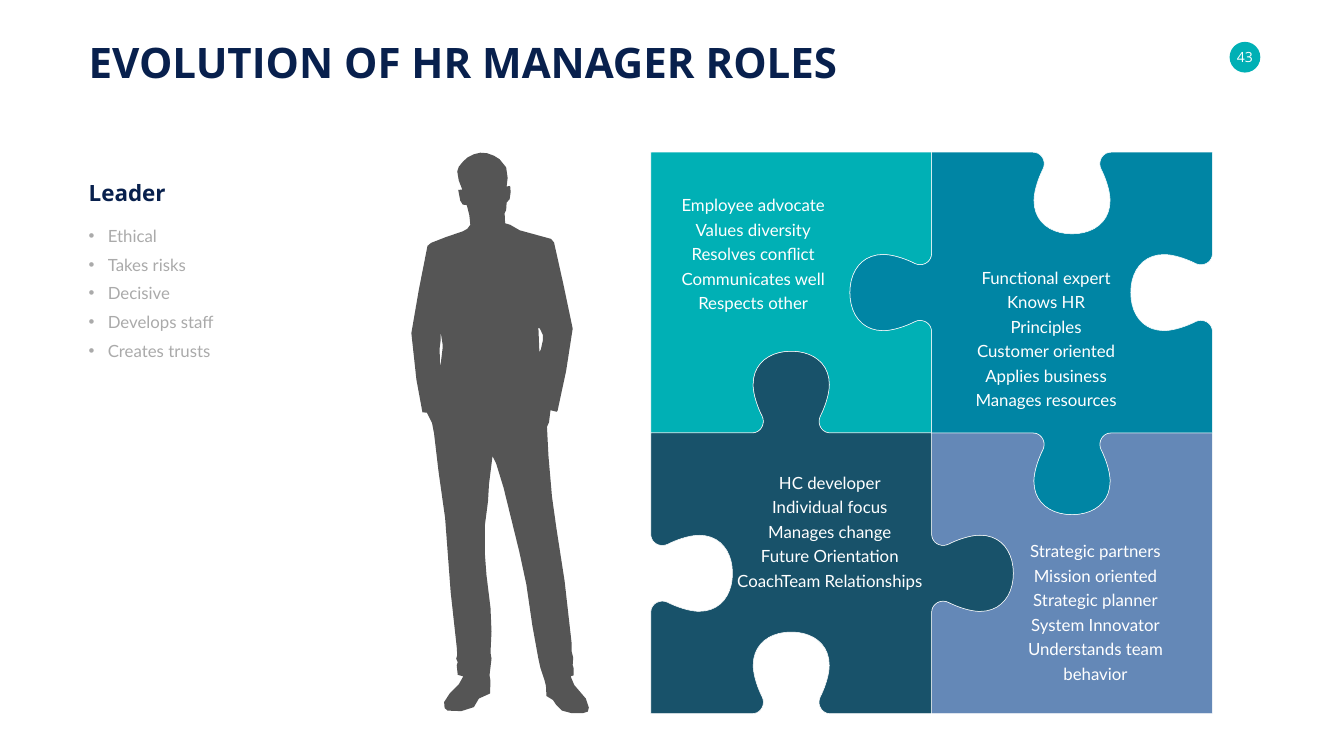
from lxml.etree import SubElement
from pptx import Presentation
from pptx.dml.color import RGBColor
from pptx.enum.shapes import MSO_SHAPE
from pptx.enum.text import MSO_ANCHOR, PP_ALIGN
from pptx.oxml.ns import qn
from pptx.util import Inches, Pt

COLORS = {
    "navy": "08204D", "teal": "00B0B5", "blue": "0085A4", "dark": "18526A",
    "violet": "6488B7", "gray": "AAAAAA", "figure": "555555", "white": "FFFFFF",
}

TITLE = "EVOLUTION OF HR MANAGER ROLES"
PAGE = "43"
HEADING = "Leader"
TRAITS = ["Ethical", "Takes risks", "Decisive", "Develops staff", "Creates trusts"]

# Column and row in the puzzle; knobs on top, right, bottom, left: 1 out, -1 in, 0 flat;
# then the centre and width of the text, and its lines
PIECES = [
    dict(color="teal", col=0, row=0, knobs=(0, -1, -1, 0), center=(14.94, 5.0), width=3.04,
         roles=["Employee advocate", "Values diversity", "Resolves conflict",
                "Communicates well", "Respects other"]),
    dict(color="violet", col=1, row=1, knobs=(-1, 0, 0, -1), center=(21.73, 12.11), width=4.0,
         roles=["Strategic partners", "Mission oriented", "Strategic planner",
                "System Innovator", "Understands team behavior"]),
    dict(color="blue", col=1, row=0, knobs=(-1, -1, 1, 1), center=(20.75, 6.68), width=3.1,
         roles=["Functional expert", "Knows HR Principles", "Customer oriented",
                "Applies business", "Manages resources"]),
    dict(color="dark", col=0, row=1, knobs=(1, 1, -1, -1), center=(16.46, 10.5), width=3.94,
         roles=["HC developer", "Individual focus", "Manages change",
                "Future Orientation", "CoachTeam Relationships"]),
]
PUZZLE_LEFT, PUZZLE_TOP, SIDE = 12.91, 3.02, 5.57

# First half of a knob as Bezier curves: distance along the side, distance out of it
KNOB = [
    [(2.01, 0), (2.18, 0), (2.28, 0.18), (2.21, 0.33)],
    [(2.21, 0.33), (2.1, 0.55), (2.03, 0.79), (2.03, 0.96)],
    [(2.03, 0.96), (2.03, 1.39), (2.37, 1.62), (2.78, 1.62)],
]

BODY = [
    # right leg and shoe
    (11.32, 13.42), (11.38, 13.4), (11.38, 13.26), (11.36, 13.2), (11.37, 13.05),
    (11.34, 12.93), (11.34, 12.77), (11.2, 11.53), (11.04, 10.5), (10.95, 9.86),
    (10.88, 9.05), (10.85, 8.47), (10.89, 8.38), (10.92, 8.14),
    # right arm, shoulder and neck
    (11.04, 8.17), (11.06, 8.15), (11.23, 7.36), (11.36, 6.52), (11.18, 5.66),
    (10.99, 4.81), (10.93, 4.74), (10.31, 4.57), (10.12, 4.46), (10.02, 4.43),
    (10.01, 4.23), (10.04, 4.17), (10.05, 4.02),
    # head
    (10.11, 3.95), (10.13, 3.81), (10.12, 3.69), (10.05, 3.7), (10.07, 3.53),
    (10.04, 3.32), (9.91, 3.16), (9.8, 3.09), (9.66, 3.04), (9.53, 3.03),
    (9.4, 3.06), (9.28, 3.12), (9.19, 3.2), (9.1, 3.31), (9.07, 3.4),
    (9.1, 3.58), (9.17, 3.76), (9.09, 3.77), (9.13, 3.98), (9.18, 4.06), (9.26, 4.07),
    # left shoulder and arm
    (9.31, 4.27), (9.33, 4.46), (9.27, 4.54), (9.18, 4.59), (8.83, 4.71),
    (8.55, 4.82), (8.48, 4.88), (8.31, 5.74), (8.16, 6.61), (8.26, 7.53),
    (8.38, 8.18), (8.47, 8.19), (8.57, 8.39), (8.61, 8.6),
    # left leg and shoe
    (8.7, 9.36), (8.83, 10.28), (8.94, 11.75), (9.06, 12.84), (9.07, 13),
    (9.05, 13.07), (9.08, 13.14), (9.06, 13.2), (9.08, 13.39), (9.19, 13.42),
    (9.1, 13.58), (8.92, 13.76), (8.81, 13.93), (8.82, 14.05), (8.88, 14.1),
    (9.15, 14.11), (9.4, 14.03), (9.5, 13.86), (9.72, 13.76), (9.73, 13.51),
    (9.71, 13.4), (9.75, 13.07), (9.73, 12.95), (9.75, 12.53), (9.73, 12.06),
    (9.65, 11.41), (9.62, 11.01), (9.62, 10.41), (9.68, 9.95), (9.7, 9.61), (9.77, 9.05),
    # inner side of the right leg, then its shoe
    (9.84, 9.19), (9.99, 9.68), (10.14, 10.29), (10.3, 10.94), (10.44, 11.59),
    (10.56, 12.41), (10.68, 13.07), (10.72, 13.25), (10.8, 13.49), (10.83, 13.61),
    (10.84, 13.81), (10.97, 13.89), (11.03, 13.98), (11.15, 14.1), (11.34, 14.15),
    (11.56, 14.15), (11.66, 14.12), (11.68, 14.04), (11.62, 13.86), (11.39, 13.59),
]
ARM_GAPS = [
    [(8.78, 6.91), (8.74, 7.24), (8.73, 7.25), (8.72, 6.92), (8.74, 6.76),
     (8.74, 6.58), (8.78, 6.83)],
    [(10.77, 6.75), (10.73, 6.93), (10.7, 6.99), (10.68, 6.5), (10.71, 6.52), (10.77, 6.65)],
]


def rgb(name):
    return RGBColor.from_string(COLORS[name])


def bezier(curve, steps=10):
    for i in range(1, steps + 1):
        t = i / steps
        weights = ((1 - t) ** 3, 3 * t * (1 - t) ** 2, 3 * t * t * (1 - t), t ** 3)
        yield tuple(sum(w * pt[k] for w, pt in zip(weights, curve)) for k in (0, 1))


def piece_outline(left, top, knobs):
    """Walk clockwise round the square, with a knob in the middle of each side."""
    half = [KNOB[0][0]] + [pt for curve in KNOB for pt in bezier(curve)]
    knob = half + [(SIDE - t, out) for t, out in reversed(half)]
    x, y, dx, dy = left, top, 1, 0
    points = []
    for sign in knobs:
        points.append((x, y))
        if sign:
            points += [(x + dx * t + dy * out * sign, y + dy * t - dx * out * sign)
                       for t, out in knob]
        x, y = x + dx * SIDE, y + dy * SIDE
        dx, dy = -dy, dx
    return points


def add_outline(contours, color, line=None):
    scaled = [[(Inches(x), Inches(y)) for x, y in c] for c in contours]
    builder = s.shapes.build_freeform(*scaled[0][0])
    for i, points in enumerate(scaled):
        if i:
            builder.move_to(*points[0])
        builder.add_line_segments(points[1:], close=True)
    style(builder.convert_to_shape(), color, line)


def style(sp, color, line=None):
    sp.shadow.inherit = False
    sp.fill.solid()
    sp.fill.fore_color.rgb = rgb(color)
    if line:
        sp.line.color.rgb = rgb(line)
        sp.line.width = Pt(0.75)
    else:
        sp.line.fill.background()


def write(tf, lines, size, font, color, bold=False, align=PP_ALIGN.LEFT,
          anchor=MSO_ANCHOR.TOP, spacing=None, bullets=False):
    tf.word_wrap = True
    tf.vertical_anchor = anchor
    for i, line in enumerate(lines):
        p = tf.paragraphs[0] if i == 0 else tf.add_paragraph()
        p.text = line
        p.alignment = align
        if spacing:
            p.line_spacing = Pt(spacing)
        if bullets:
            if i:
                p.space_before = Pt(6)
            pPr = p._p.get_or_add_pPr()
            pPr.set("marL", str(Inches(0.38)))
            pPr.set("indent", str(-Inches(0.38)))
            SubElement(pPr, qn("a:buFont")).set("typeface", "Arial")
            SubElement(pPr, qn("a:buChar")).set("char", "•")
        f = p.runs[0].font
        f.size, f.name, f.bold = Pt(size), font, bold
        f.color.rgb = rgb(color)


def add_text(left, top, width, height, *args, **kwargs):
    box = s.shapes.add_textbox(Inches(left), Inches(top), Inches(width), Inches(height))
    write(box.text_frame, *args, **kwargs)


prs = Presentation()
prs.slide_width, prs.slide_height = Inches(26.66), Inches(15)
s = prs.slides.add_slide(prs.slide_layouts[6])

badge = s.shapes.add_shape(MSO_SHAPE.OVAL, Inches(24.39), Inches(0.83), Inches(0.61), Inches(0.61))
style(badge, "teal")
tf = badge.text_frame
tf.margin_left = tf.margin_right = tf.margin_top = tf.margin_bottom = 0
write(tf, [PAGE], 20, "Open Sans", "white", align=PP_ALIGN.CENTER, anchor=MSO_ANCHOR.MIDDLE)
tf.word_wrap = False

add_text(1.66, 0.67, 15.2, 1.11, [TITLE], 60, "Open Sans", "navy", bold=True)
add_text(1.66, 3.37, 2, 0.74, [HEADING], 32, "Open Sans", "navy", bold=True,
         anchor=MSO_ANCHOR.MIDDLE, spacing=50)
add_text(1.66, 4.34, 5.76, 2.84, TRAITS, 24, "Lato", "gray", spacing=35, bullets=True)

for piece in PIECES:
    left = PUZZLE_LEFT + piece["col"] * SIDE
    top = PUZZLE_TOP + piece["row"] * SIDE
    add_outline([piece_outline(left, top, piece["knobs"])], piece["color"], line="white")

for piece in PIECES:
    (cx, cy), width, height = piece["center"], piece["width"], 2.5
    add_text(cx - width / 2, cy - height / 2, width, height, piece["roles"], 24, "Lato", "white",
             align=PP_ALIGN.CENTER, anchor=MSO_ANCHOR.MIDDLE, spacing=35)

add_outline([BODY] + ARM_GAPS, "figure")

prs.save("out.pptx")
